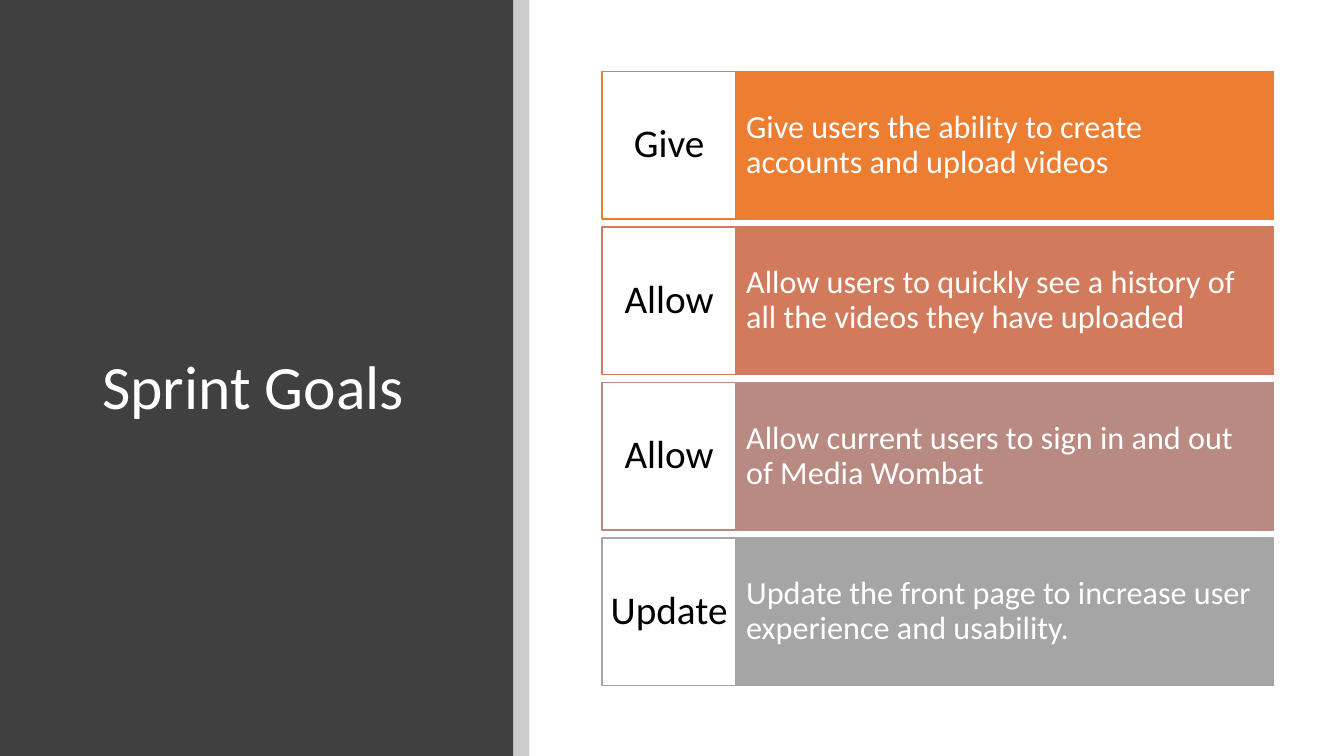
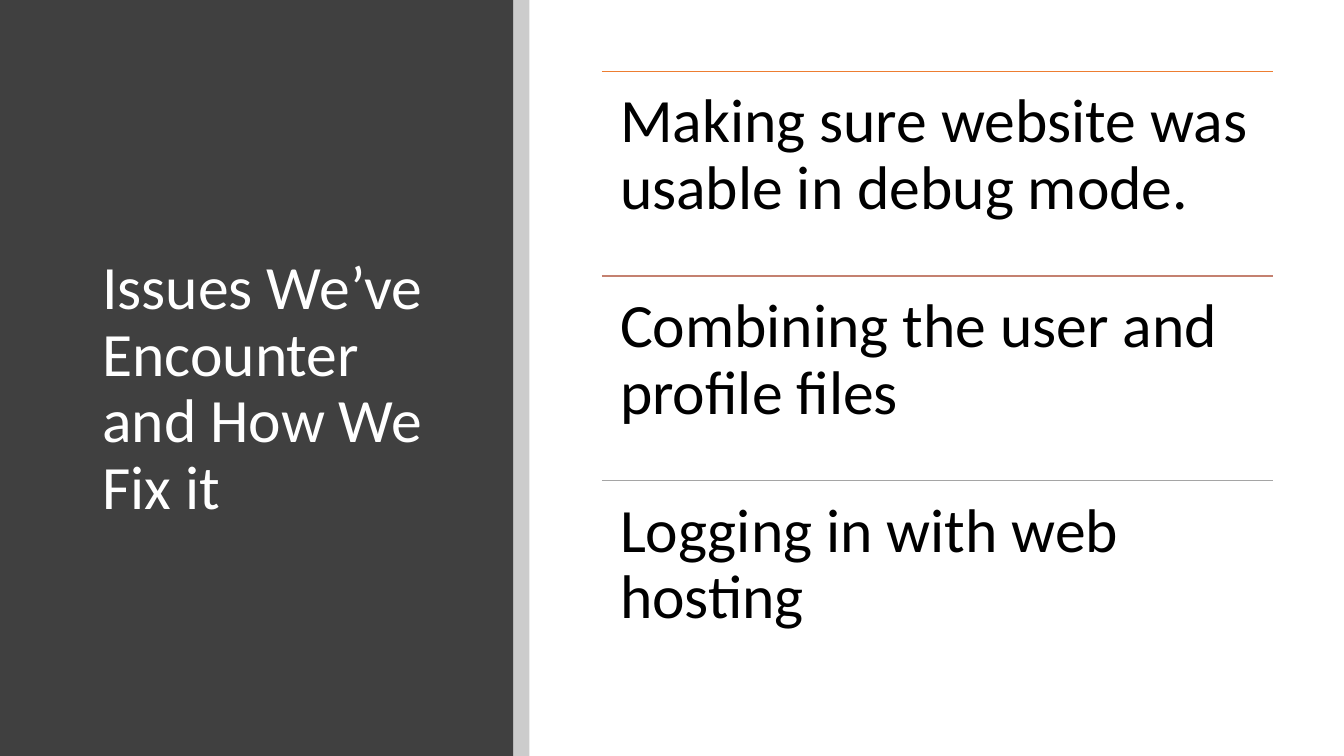
from collections import namedtuple
from dataclasses import dataclass

from lxml import etree
from pptx import Presentation
from pptx import util as u
from pptx.dml.color import RGBColor
from pptx.enum import shapes, text
from pptx.oxml import ns

Box = namedtuple("Box", "x y w h")


@dataclass(frozen=True)
class Theme:
    """Colours, type sizes and shared regions of the deck."""
    font: str = "Calibri"
    dark: str = "404040"
    black: str = "000000"
    white: str = "FFFFFF"
    orange: str = "ED7D31"
    coral: str = "D17B5C"
    clay: str = "C48170"
    rose: str = "B98A82"
    grey: str = "A5A5A5"
    big: int = 44
    mid: int = 28
    small: int = 23
    lead: float = 0.9
    line: float = 1
    shade: int = 20
    page: Box = Box(0, 0, 13.33, 7.5)
    side: Box = Box(0, 0, 5.09, 7.5)
    strip: Box = Box(5.09, 0, 0.16, 7.5)
    body: Box = Box(5.97, 0.71, 6.66, 6.09)


T = Theme()


def inch(*sizes):
    """Turn numbers into inch lengths."""
    return [u.Inches(size) for size in sizes]


def rows(box, count, gap=0):
    """Split a box into equal rows with a fixed gap."""
    high = (box.h - gap * (count - 1)) / count
    return [Box(box.x, box.y + i * (high + gap), box.w, high) for i in range(count)]


def write(shape, words, size, color, pad=(0.1, 0.05), center=False, top=False):
    """Set one paragraph in a shape."""
    frame = shape.text_frame
    frame.word_wrap = True
    frame.margin_left = frame.margin_right = u.Inches(pad[0])
    frame.margin_top = frame.margin_bottom = u.Inches(pad[1])
    frame.vertical_anchor = text.MSO_ANCHOR.TOP if top else text.MSO_ANCHOR.MIDDLE
    para = frame.paragraphs[0]
    para.text = words
    para.line_spacing = T.lead
    para.alignment = text.PP_ALIGN.CENTER if center else text.PP_ALIGN.LEFT
    para.font.name = T.font
    para.font.size = u.Pt(size)
    para.font.color.rgb = RGBColor.from_string(color)


def panel(slide, box, fill, edge=None):
    """Draw a filled rectangle, outlined if an edge colour is given."""
    shape = slide.shapes.add_shape(shapes.MSO_SHAPE.RECTANGLE, *inch(*box))
    shape.shadow.inherit = False
    shape.fill.solid()
    shape.fill.fore_color.rgb = RGBColor.from_string(fill)
    if edge:
        shape.line.color.rgb = RGBColor.from_string(edge)
        shape.line.width = u.Pt(T.line)
    else:
        shape.line.fill.background()
    return shape


def rule(slide, box, color):
    """Draw a line along the top of a box."""
    ends = inch(box.x, box.y, box.x + box.w, box.y)
    line = slide.shapes.add_connector(shapes.MSO_CONNECTOR.STRAIGHT, *ends)
    line.line.color.rgb = RGBColor.from_string(color)
    line.line.width = u.Pt(T.line)
    etree.SubElement(line._element.spPr, ns.qn("a:effectLst"))


def label(slide, box, words, size, color, **style):
    """Place a text box."""
    write(slide.shapes.add_textbox(*inch(*box)), words, size, color, **style)


def sidebar(slide, box, title):
    """Draw the dark title band and its translucent edge strip."""
    panel(slide, box, T.dark)
    area = Box(box.x + box.w * 0.18, box.y + box.h * 0.12, box.w * 0.72, box.h * 0.79)
    label(slide, area, title, T.big, T.white)
    strip = panel(slide, T.strip, T.black)
    tint = strip._element.spPr.find(".//" + ns.qn("a:srgbClr"))
    etree.SubElement(tint, ns.qn("a:alpha"), val=str(T.shade * 1000))


def goals(slide, box, items):
    """Stack rows of a key word and a coloured statement."""
    for row, (key, words, color) in zip(rows(box, len(items), 0.08), items):
        wide = row.w * 0.2
        fact = panel(slide, row._replace(x=row.x + wide, w=row.w - wide), color, color)
        write(fact, words, T.small, T.white, pad=(0.1, 0.37))
        head = panel(slide, row._replace(w=wide), T.white, color)
        write(head, key, T.mid, T.black, pad=(0.07, 0.14), center=True)


def issues(slide, box, items):
    """Stack large statements, each under a coloured rule."""
    for row, (words, color) in zip(rows(box, len(items)), items):
        rule(slide, row, color)
        label(slide, row, words, T.big, T.black, pad=(0.18, 0.18), top=True)


DECK = [
    ("Sprint Goals", goals, [
        ("Give", "Give users the ability to create accounts and upload videos", T.orange),
        ("Allow", "Allow users to quickly see a history of all the videos they have uploaded",
         T.coral),
        ("Allow", "Allow current users to sign in and out of Media Wombat", T.rose),
        ("Update", "Update the front page to increase user experience and usability.", T.grey),
    ]),
    ("Issues We’ve Encounter and How We Fix it", issues, [
        ("Making sure website was usable in debug mode.", T.orange),
        ("Combining the user and profile files", T.clay),
        ("Logging in with web hosting", T.grey),
    ]),
]


def main():
    """Build and save the deck."""
    deck = Presentation()
    deck.slide_width, deck.slide_height = inch(T.page.w, T.page.h)
    for title, fill, items in DECK:
        slide = deck.slides.add_slide(deck.slide_layouts[6])
        sidebar(slide, T.side, title)
        fill(slide, T.body, items)
    deck.save("out.pptx")


if __name__ == "__main__":
    main()
